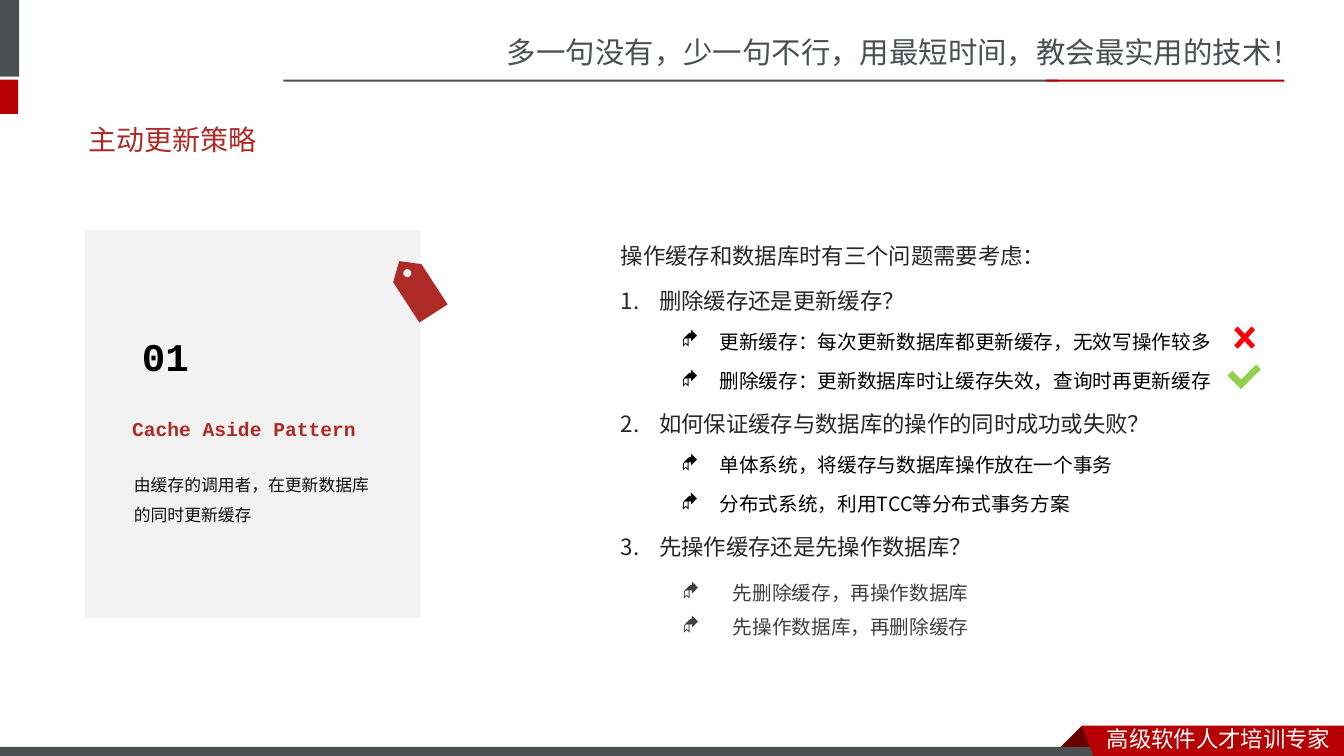
from dataclasses import dataclass
from math import cos, pi, sin

from lxml.etree import SubElement
from pptx import Presentation
from pptx.dml.color import RGBColor
from pptx.enum.shapes import MSO_SHAPE
from pptx.enum.text import MSO_ANCHOR, PP_ALIGN
from pptx.oxml.ns import qn
from pptx.shapes.autoshape import Shape
from pptx.slide import Slide
from pptx.util import Inches, Pt

SLATE = RGBColor(0x49, 0x50, 0x4F)
CRIMSON = RGBColor(0xB6, 0x00, 0x04)
MAROON = RGBColor(0x68, 0x00, 0x00)
BRICK = RGBColor(0xAD, 0x2A, 0x26)
BLACK = RGBColor(0x00, 0x00, 0x00)
CHARCOAL = RGBColor(0x26, 0x26, 0x26)
DARK_GRAY = RGBColor(0x40, 0x40, 0x40)
GRAY = RGBColor(0x80, 0x80, 0x80)
WHITE = RGBColor(0xFF, 0xFF, 0xFF)
GREEN = RGBColor(0x92, 0xD0, 0x50)
RED = RGBColor(0xFF, 0x00, 0x00)
NOTO_SC = "Noto Sans CJK SC"
NOTO_JP = "Noto Sans CJK JP"
Box = tuple[float, float, float, float]
Point = tuple[float, float]


@dataclass
class Line:
    text: str
    size: int
    color: RGBColor
    font: str
    bold: bool = False
    spacing: float = 1.0
    before: float = 0
    level: int = 0
    bullet: str = ""
    indent: float = 0
    hanging: float = 0


@dataclass
class Block:
    box: Box
    lines: list[Line]
    anchor: MSO_ANCHOR = MSO_ANCHOR.TOP
    left_inset: float = 0.1
    right_inset: float = 0.1


@dataclass
class Panel:
    box: Box
    color: RGBColor
    kind: MSO_SHAPE = MSO_SHAPE.RECTANGLE
    rotation: float = 0
    adjustments: tuple[float, ...] = ()
    opacity: int = 100


def question(text: str) -> Line:
    return Line(text, 16, CHARCOAL, NOTO_JP, spacing=1.5, before=3.2,
                bullet="1.", indent=0.38, hanging=0.38)


def answer(text: str) -> Line:
    return Line(text, 14, BLACK, NOTO_JP, spacing=1.5, before=2.8,
                level=1, bullet="◆", indent=0.98, hanging=0.38)


def option(text: str) -> Line:
    return Line(text, 14, DARK_GRAY, "Roboto", spacing=2, bullet="◆", indent=0.5, hanging=0.5)


HEADER_PANELS = [
    Panel((-0.06, 0, 0.25, 0.76), SLATE),
    Panel((-0.06, 0.79, 0.24, 0.34), CRIMSON),
    Panel((2.81, 0.79, 7.68, 0.02), SLATE),
    Panel((10.37, 0.79, 2.37, 0.02), CRIMSON),
]
RIBBON_FOLD = [(10.73, 7.2), (10.95, 7.42), (10.94, 7.43), (10.52, 7.43), (10.51, 7.42)]
FOOTER_BAR = Panel((-0.01, 7.41, 10.96, 0.09), SLATE)
RIBBON = [(10.73, 7.2), (13.33, 7.2), (13.33, 7.54), (10.86, 7.54)]
BANNERS = [
    Block((4.93, 0.29, 8.41, 0.47),
          [Line("多一句没有，少一句不行，用最短时间，教会最实用的技术！", 21, SLATE, NOTO_SC)]),
    Block((10.88, 7.14, 2.45, 0.37), [Line("高级软件人才培训专家", 16, WHITE, NOTO_SC)]),
]
TITLE = Block((0.78, 1.16, 11.7, 0.44), [Line("主动更新策略", 20, BRICK, "Arial")], MSO_ANCHOR.MIDDLE)
QUESTIONS = Block((6.06, 2.22, 6.65, 2.98), [
    Line("操作缓存和数据库时有三个问题需要考虑：", 16, CHARCOAL, NOTO_JP, spacing=1.5),
    question("删除缓存还是更新缓存？"),
    answer("更新缓存：每次更新数据库都更新缓存，无效写操作较多"),
    answer("删除缓存：更新数据库时让缓存失效，查询时再更新缓存"),
    question("如何保证缓存与数据库的操作的同时成功或失败？"),
    answer("单体系统，将缓存与数据库操作放在一个事务"),
    answer("分布式系统，利用TCC等分布式事务方案"),
    question("先操作缓存还是先操作数据库？"),
])
DESCRIPTION = Block((1.23, 4.56, 2.56, 0.68), [
    Line("由缓存的调用者，在更新数据库的同时更新缓存", 12, BLACK, "Courier New", spacing=1.5)])
CARD = Panel((0.84, 2.28, 3.33, 3.85), GRAY, opacity=10)
TAG = [(3.96, 2.59), (4.18, 2.62), (4.44, 3.02), (4.16, 3.2), (3.9, 2.8)]
TAG_HOLE = [(4.04 + 0.04 * cos(step * pi / 12), 2.71 + 0.04 * sin(step * pi / 12))
            for step in range(24)]
CARD_LABELS = [
    Block((1.31, 4.08, 2.56, 0.34),
          [Line("Cache Aside Pattern", 14, BRICK, "Courier New", bold=True)],
          MSO_ANCHOR.MIDDLE, 0, 0),
    Block((1.31, 3.25, 2.56, 0.57),
          [Line("01", 28, BLACK, "Courier New", bold=True)], MSO_ANCHOR.MIDDLE),
]
OPTIONS = [
    Block((6.67, 5.42 + 0.34 * row, 3.12, 0.68), [option(text)], MSO_ANCHOR.MIDDLE, 0.1, 0)
    for row, text in enumerate(["先删除缓存，再操作数据库", "先操作数据库，再删除缓存"])
]
MARKS = [
    Panel((12.2, 3.6, 0.28, 0.19), GREEN, MSO_SHAPE.CORNER, 315, (0.353, 0.362)),
    Panel((12.18, 3.17, 0.33, 0.36), RED, MSO_SHAPE.MATH_MULTIPLY, 0, (0.147,)),
]


def paint(shape: Shape, color: RGBColor) -> None:
    shape.shadow.inherit = False
    shape.fill.solid()
    shape.fill.fore_color.rgb = color
    shape.line.fill.background()


def add_panel(slide: Slide, panel: Panel) -> None:
    shape = slide.shapes.add_shape(panel.kind, *map(Inches, panel.box))
    paint(shape, panel.color)
    shape.rotation = panel.rotation
    for index, value in enumerate(panel.adjustments):
        shape.adjustments[index] = value
    if panel.opacity < 100:
        color = shape.fill._xPr.find(".//" + qn("a:srgbClr"))
        SubElement(color, qn("a:alpha"), val=str(panel.opacity * 1000))


def add_outline(slide: Slide, color: RGBColor, *contours: list[Point]) -> None:
    """Draw closed contours as one shape; a later contour cuts a hole."""
    outer, *holes = [[(Inches(x), Inches(y)) for x, y in contour] for contour in contours]
    builder = slide.shapes.build_freeform(*outer[0])
    builder.add_line_segments(outer[1:], close=True)
    for hole in holes:
        builder.move_to(*hole[0])
        builder.add_line_segments(hole[1:], close=True)
    paint(builder.convert_to_shape(), color)


def fill_text(shape: Shape, block: Block) -> None:
    shape.left, shape.top, shape.width, shape.height = map(Inches, block.box)
    frame = shape.text_frame
    frame.word_wrap = True
    frame.vertical_anchor = block.anchor
    frame.margin_left, frame.margin_right = Inches(block.left_inset), Inches(block.right_inset)
    frame.margin_top = frame.margin_bottom = Inches(0.05)
    frame.text = "\n".join(line.text for line in block.lines)
    for paragraph, line in zip(frame.paragraphs, block.lines):
        paragraph.alignment = PP_ALIGN.LEFT
        paragraph.level = line.level
        paragraph.line_spacing = line.spacing
        paragraph.space_before = Pt(line.before)
        if line.bullet:
            properties = paragraph._p.get_or_add_pPr()
            properties.set("marL", str(Inches(line.indent)))
            properties.set("indent", str(-Inches(line.hanging)))
            if line.bullet == "1.":
                SubElement(properties, qn("a:buAutoNum"), type="arabicPeriod")
            else:
                SubElement(properties, qn("a:buFont"), typeface="Wingdings", charset="2")
                SubElement(properties, qn("a:buChar"), char=line.bullet)
        for run in paragraph.runs:
            run.font.size, run.font.bold = Pt(line.size), line.bold
            run.font.name, run.font.color.rgb = line.font, line.color
            if line.font in (NOTO_SC, NOTO_JP):
                SubElement(run._r.get_or_add_rPr(), qn("a:ea"), typeface=line.font)


def add_text(slide: Slide, block: Block) -> None:
    fill_text(slide.shapes.add_textbox(*map(Inches, block.box)), block)


def main() -> None:
    presentation = Presentation()
    presentation.slide_width, presentation.slide_height = Inches(13.33), Inches(7.5)
    slide = presentation.slides.add_slide(presentation.slide_layouts[5])
    fill_text(slide.shapes.title, TITLE)
    for panel in HEADER_PANELS:
        add_panel(slide, panel)
    add_outline(slide, MAROON, RIBBON_FOLD)
    add_panel(slide, FOOTER_BAR)
    add_outline(slide, CRIMSON, RIBBON)
    for block in [*BANNERS, QUESTIONS, DESCRIPTION]:
        add_text(slide, block)
    add_panel(slide, CARD)
    add_outline(slide, BRICK, TAG, TAG_HOLE)
    for block in [*CARD_LABELS, *OPTIONS]:
        add_text(slide, block)
    for panel in MARKS:
        add_panel(slide, panel)
    presentation.save("out.pptx")


if __name__ == "__main__":
    main()
